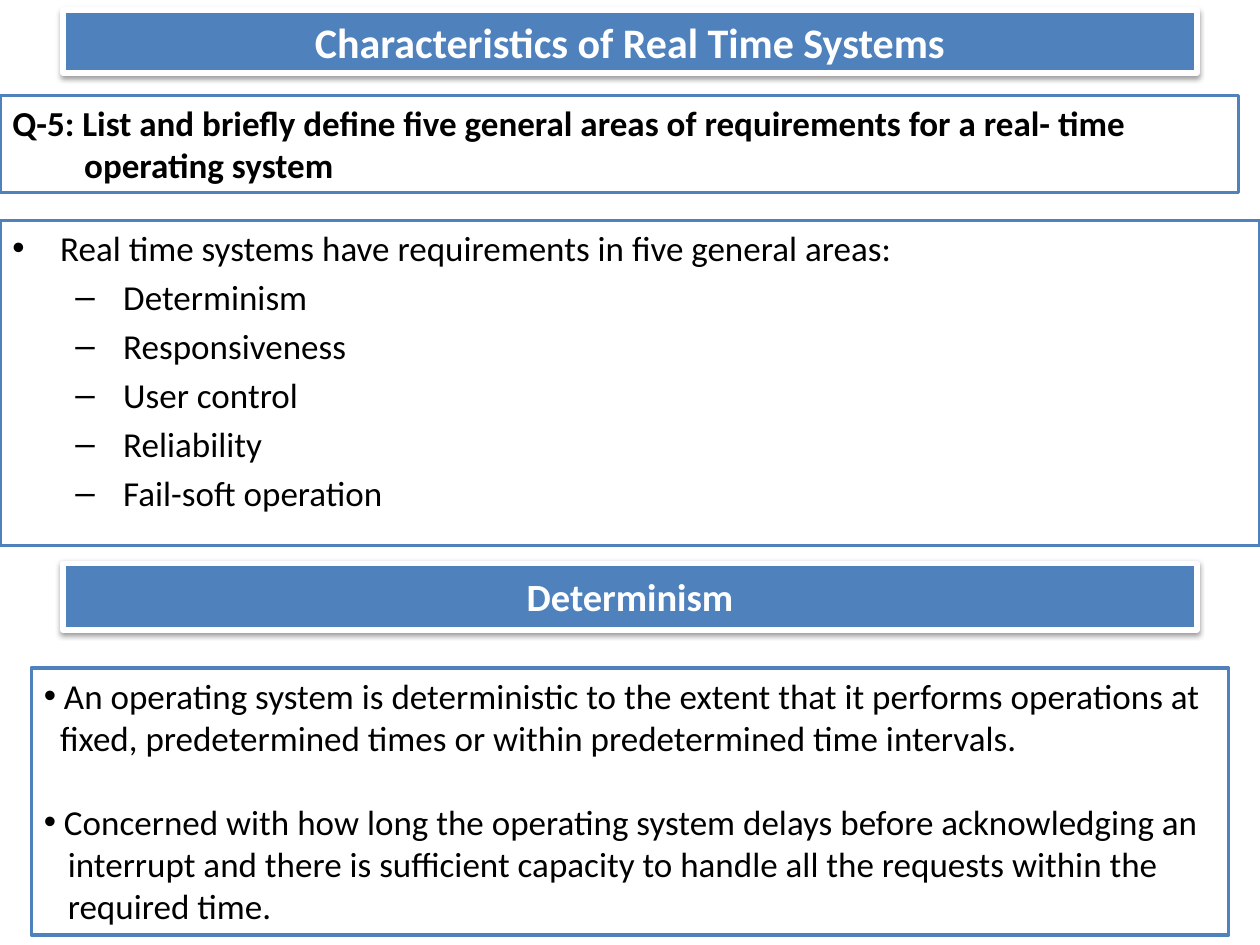
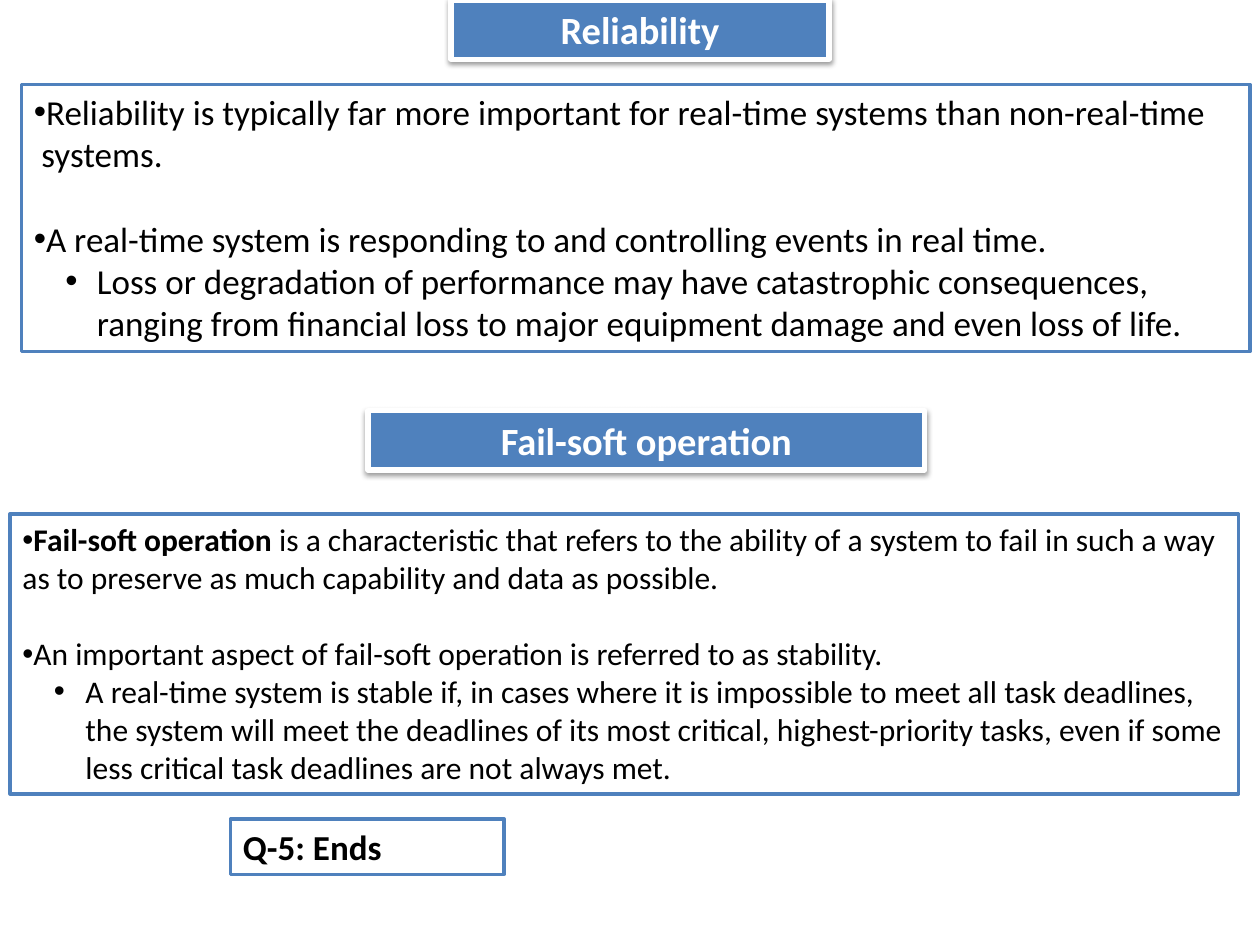
from dataclasses import dataclass

from lxml import etree
from pptx import Presentation
from pptx.dml.color import RGBColor
from pptx.enum.shapes import MSO_SHAPE
from pptx.enum.text import MSO_ANCHOR, PP_ALIGN
from pptx.oxml.ns import qn
from pptx.util import Inches, Pt

RECTANGLE = MSO_SHAPE.RECTANGLE
TOP, MIDDLE = MSO_ANCHOR.TOP, MSO_ANCHOR.MIDDLE
LEFT, CENTER = PP_ALIGN.LEFT, PP_ALIGN.CENTER

BLUE, WHITE, BLACK = "4F81BD", "FFFFFF", "000000"
FONT = "Calibri"
LINE_HEIGHT = 1.22  # height of one text line, relative to the font size


def color(value):
    return RGBColor.from_string(value)


@dataclass
class Line:
    """One paragraph: its text, indents in inches and optional bullet."""
    text: str
    left: float = 0
    hanging: float = 0
    bullet: str = ""
    before: float = 0
    bold_lead: str = ""


def point(text, gap=0, hanging=0, bold_lead=""):
    """Main bullet; gap is the space above it in points."""
    return Line(text, hanging, hanging, "•", gap, bold_lead)


def subpoint(text):
    return Line(text, 0.5, 0.25, "•")


def dash(text):
    return Line(text, 0.88, 0.38, "–", 4)


class Deck:
    def __init__(self):
        self.presentation = Presentation()
        self.presentation.slide_width = Inches(10)
        self.presentation.slide_height = Inches(7.5)
        self.slide = None

    def new_slide(self):
        self.slide = self.presentation.slides.add_slide(self.presentation.slide_layouts[6])

    def box(self, left, top, width, height, fill, line, line_width, anchor):
        shape = self.slide.shapes.add_shape(
            RECTANGLE, Inches(left), Inches(top), Inches(width), Inches(height))
        shape.shadow.inherit = False
        shape.fill.solid()
        shape.fill.fore_color.rgb = color(fill)
        shape.line.color.rgb = color(line)
        shape.line.width = Pt(line_width)
        shape.text_frame.word_wrap = True
        shape.text_frame.vertical_anchor = anchor
        return shape

    def style(self, paragraph, size, text_color, bold, align):
        paragraph.alignment = align
        for run in paragraph.runs:
            run.font.name = FONT
            run.font.size = Pt(size)
            run.font.bold = bold
            run.font.color.rgb = color(text_color)

    def banner(self, text, left, top, width, height, size=22):
        """Blue heading with a white frame and a soft shadow."""
        shape = self.box(left, top, width, height, BLUE, WHITE, 3, MIDDLE)
        shape.text_frame.text = text
        self.style(shape.text_frame.paragraphs[0], size, WHITE, True, CENTER)
        effects = shape._element.spPr.find(qn("a:effectLst"))
        shadow = etree.SubElement(effects, qn("a:outerShdw"), blurRad=str(Pt(3.1)),
                                  dist=str(Pt(1.6)), dir="5400000", rotWithShape="0")
        shade = etree.SubElement(shadow, qn("a:srgbClr"), val=BLACK)
        etree.SubElement(shade, qn("a:alpha"), val="38000")

    def panel(self, lines, left, top, width, height, size=20, bold=False):
        """White text box with a blue frame."""
        shape = self.box(left, top, width, height, WHITE, BLUE, 2, TOP)
        text_frame = shape.text_frame
        text_frame.text = "\n".join(line.text for line in lines)
        for paragraph, line in zip(text_frame.paragraphs, lines):
            if line.bold_lead:
                paragraph.text = line.bold_lead
                paragraph.add_run().text = line.text
            self.style(paragraph, size, BLACK, bold, LEFT)
            if line.bold_lead:
                paragraph.runs[0].font.bold = True
            paragraph.space_before = Pt(line.before)
            self.indent(paragraph, line)

    def indent(self, paragraph, line):
        properties = paragraph._p.get_or_add_pPr()
        properties.set("marL", str(Inches(line.left)))
        properties.set("indent", str(-Inches(line.hanging)))
        if line.bullet:
            etree.SubElement(properties, qn("a:buFont"), typeface="Arial")
            etree.SubElement(properties, qn("a:buChar"), char=line.bullet)


def requirements_slide(deck):
    deck.new_slide()
    deck.banner("Characteristics of Real Time Systems", 0.5, 0.08, 9, 0.5, size=24)

    # Question
    deck.panel([
        Line("Q-5: List and briefly define five general areas of requirements for a real- time"),
        Line("operating system", left=0.57),
    ], 0, 0.76, 9.83, 0.77, bold=True)

    # Five areas
    areas = ["Determinism", "Responsiveness", "User control", "Reliability",
             "Fail-soft operation"]
    heading = point("Real time systems have requirements in five general areas:", hanging=0.38)
    deck.panel([heading] + [dash(area) for area in areas], 0, 1.75, 10, 2.58)

    # First area
    deck.banner("Determinism", 0.5, 4.47, 9, 0.53)
    deck.panel([
        point("An operating system is deterministic to the extent that it performs "
              "operations at", hanging=0.16),
        Line("fixed, predetermined times or within predetermined time intervals.", left=0.13),
        point("Concerned with how long the operating system delays before "
              "acknowledging an", gap=20 * LINE_HEIGHT, hanging=0.16),
        Line("interrupt and there is sufficient capacity to handle all the requests "
             "within the", left=0.19),
        Line("required time.", left=0.19),
    ], 0.25, 5.3, 9.5, 2.12)


def reliability_slide(deck):
    deck.new_slide()

    # Reliability
    deck.banner("Reliability", 3.58, 0, 3, 0.47)
    deck.panel([
        point("Reliability is typically far more important for real-time systems than "
              "non-real-time"),
        Line("systems.", left=0.06),
        point("A real-time system is responding to and controlling events in real time.",
              gap=20 * LINE_HEIGHT),
        subpoint("Loss or degradation of performance may have catastrophic consequences, "
                 "ranging from financial loss to major equipment damage and even loss of life."),
    ], 0.17, 0.67, 9.75, 2.12)

    # Fail-soft operation
    deck.banner("Fail-soft operation", 2.92, 3.26, 4.42, 0.47)
    deck.panel([
        point("is a characteristic that refers to the ability of a system to fail in such "
              "a way as to preserve as much capability and data as possible.",
              bold_lead="Fail-soft operation "),
        point("An important aspect of fail-soft operation is referred to as stability.",
              gap=18 * LINE_HEIGHT),
        subpoint("A real-time system is stable if, in cases where it is impossible to meet "
                 "all task deadlines, the system will meet the deadlines of its most critical, "
                 "highest-priority tasks, even if some less critical task deadlines are not "
                 "always met."),
    ], 0.08, 4.08, 9.75, 2.22, size=18)

    # End of the question
    deck.panel([Line("Q-5: Ends")], 1.83, 6.5, 2.17, 0.44, bold=True)


def main():
    deck = Deck()
    requirements_slide(deck)
    reliability_slide(deck)
    deck.presentation.save("out.pptx")


if __name__ == "__main__":
    main()
